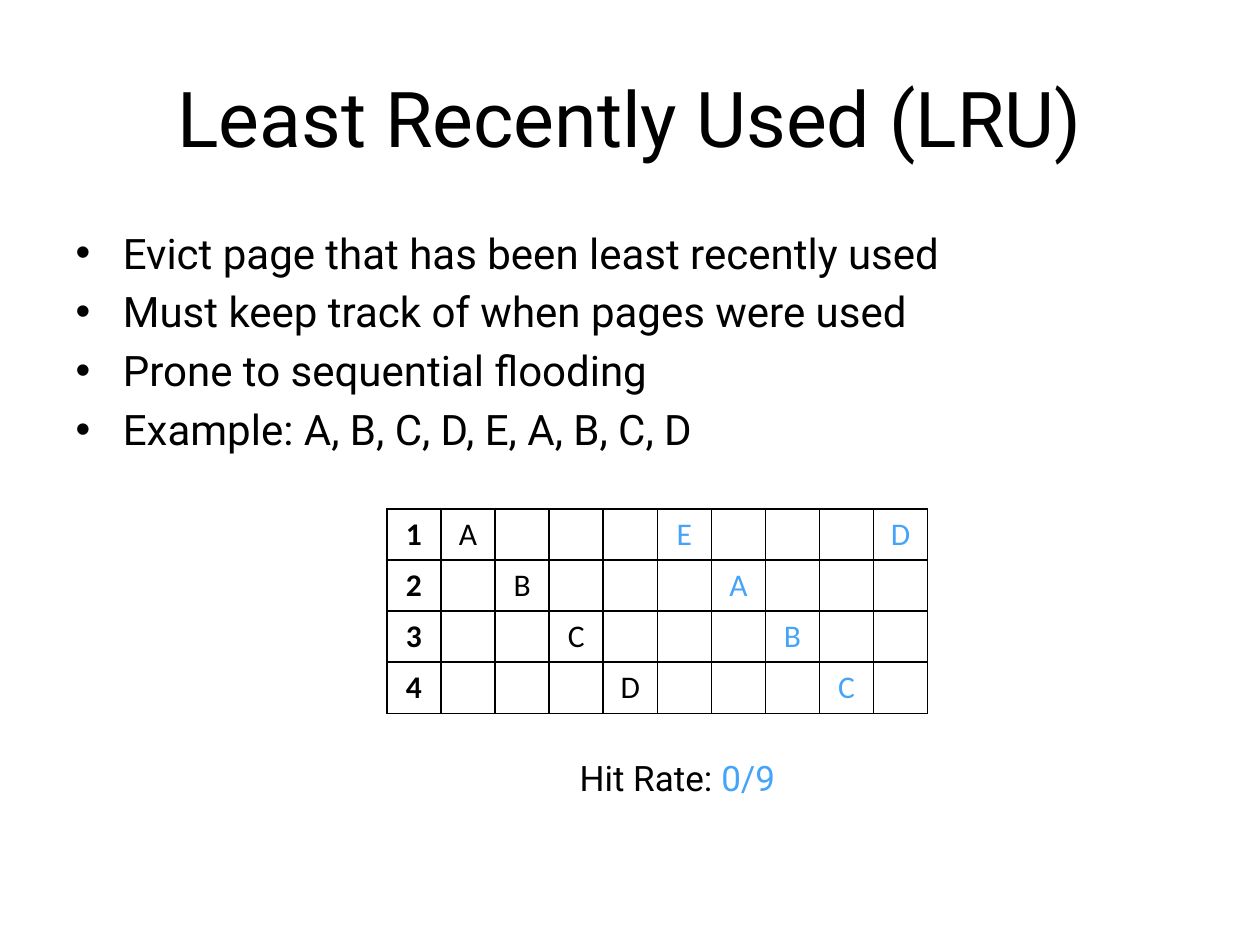
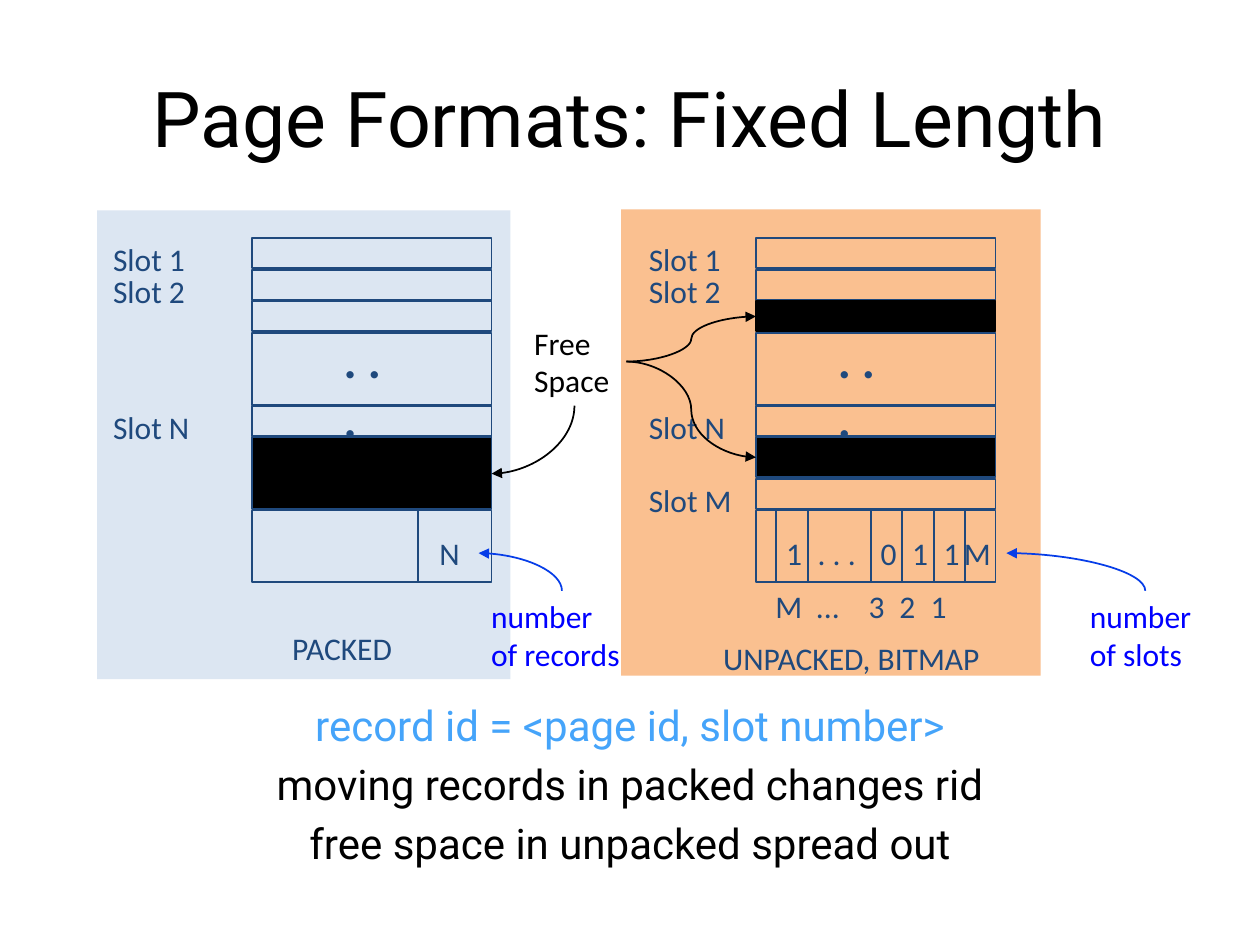
"""Two database slides: LRU page eviction and fixed-length page formats."""
from dataclasses import dataclass

from lxml import etree
from pptx import Presentation
from pptx.dml.color import RGBColor
from pptx.enum.shapes import MSO_CONNECTOR, MSO_SHAPE
from pptx.enum.text import MSO_AUTO_SIZE, PP_ALIGN
from pptx.oxml.ns import qn
from pptx.util import Cm, Pt

STRAIGHT, CURVE = MSO_CONNECTOR.STRAIGHT, MSO_CONNECTOR.CURVE
RECTANGLE = MSO_SHAPE.RECTANGLE
CENTER = PP_ALIGN.CENTER
NO_AUTOFIT, FIT_SHAPE = MSO_AUTO_SIZE.NONE, MSO_AUTO_SIZE.SHAPE_TO_FIT_TEXT

BLACK, NAVY, SKY = "000000", "1F497D", "45A4FA"
BLUE, ARROW_BLUE = "0000FF", "063DE8"
PALE_BLUE, ORANGE = "DCE6F2", "FAC090"

TITLE_FONT = {"name": "Roboto", "size": Pt(44)}
BODY_FONT = {"name": "Roboto", "size": Pt(24)}
RATE_FONT = {"name": "Roboto", "size": Pt(20)}
LABEL_FONT = {"name": "Calibri", "size": Pt(18), "bold": False}
STRONG_FONT = {"name": "Calibri", "size": Pt(18), "bold": True}
DOTS_FONT = {"name": "Calibri", "size": Pt(28), "bold": True}

TITLE_BOX = (1.27, 0.76, 22.86, 3.18)
BODY_BOX = (1.27, 4.45, 22.86, 14.1)
PAGE_WIDTH = 4.83
DIRECTORY_TOP, DIRECTORY_HEIGHT = 10.29, 1.45
BIT_LEFT, BIT_WIDTH = 15.65, 1.27 / 2


@dataclass
class Slot:
    """One horizontal strip of a stored page."""
    top: float
    height: float = 0.61
    fill: str | None = None
    line: str = NAVY


@dataclass
class Label:
    """A short free-standing text; each line is a paragraph."""
    text: str
    left: float
    top: float
    width: float = 2.2
    height: float = 1.02
    color: str = NAVY
    wrap: bool = False


@dataclass
class Arrow:
    """A curved arrow; a quarter curve leaves vertically and arrives sideways."""
    start: tuple[float, float]
    end: tuple[float, float]
    color: str = BLACK
    quarter: bool = True


SHARED_SLOTS = [Slot(4.8), Slot(5.44), Slot(6.71, 1.45), Slot(8.18),
                Slot(DIRECTORY_TOP, DIRECTORY_HEIGHT)]
PACKED_SLOTS = SHARED_SLOTS + [Slot(6.07), Slot(8.81, 1.45, BLACK)]
UNPACKED_SLOTS = SHARED_SLOTS + [Slot(8.81, 0.81, BLACK), Slot(6.07, fill=BLACK, line=BLACK),
                                 Slot(9.65)]
SLOT_NAMES = {"Slot 1": 4.72, "Slot 2": 5.36, "Slot N": 8.1}
BITS = {0: "1", 1: ". . .", 3: "0", 4: "1", 5: "1"}

LABELS = [
    Label("N", 8.61, 10.64, 1.04),
    Label("M", 19.18, 10.64, 1.12),
    Label("PACKED", 5.64, 12.55, 3.18),
    Label("UNPACKED, BITMAP", 14.33, 12.75, 6.99),
    Label("Slot M", 12.83, 9.58, 2.34),
    Label("Free\nSpace", 10.52, 6.4, 2.13, 1.78, BLACK),
    Label("number\nof records", 9.65, 11.91, 3.33, 1.78, BLUE),
    Label("number\nof slots", 21.72, 11.91, 2.72, 1.78, BLUE),
]
ARROWS = [
    Arrow((11.58, 8.18), (9.91, 9.55)),
    Arrow((12.63, 7.29), (15.24, 6.38), quarter=False),
    Arrow((12.63, 7.29), (15.24, 9.22), quarter=False),
    Arrow((11.33, 11.91), (9.65, 11.15), ARROW_BLUE),
    Arrow((23.09, 11.91), (20.29, 11.15), ARROW_BLUE),
]


def rgb(value: str) -> RGBColor:
    """Turn a hex string into a colour."""
    return RGBColor.from_string(value)


def lengths(box: tuple) -> list:
    """Turn centimetre numbers into lengths."""
    return [Cm(value) for value in box]


def add_child(parent, tag: str, **attributes: str):
    """Append a drawing element with its attributes."""
    return etree.SubElement(parent, qn(tag), attributes)


def add_run(paragraph, text: str, font_format: dict, color: str = BLACK) -> None:
    """Add formatted text to a paragraph."""
    run = paragraph.add_run()
    run.text = text
    for name, value in font_format.items():
        setattr(run.font, name, value)
    run.font.color.rgb = rgb(color)


def place(shape, box: tuple) -> None:
    """Move a placeholder to a box."""
    for name, value in zip(("left", "top", "width", "height"), lengths(box)):
        setattr(shape, name, value)


def add_titled_slide(presentation, title: str) -> tuple:
    """Add a slide with its title; return the slide and its body text frame."""
    slide = presentation.slides.add_slide(presentation.slide_layouts[1])
    place(slide.shapes.title, TITLE_BOX)
    paragraph = slide.shapes.title.text_frame.paragraphs[0]
    paragraph.alignment = CENTER
    add_run(paragraph, title, TITLE_FONT)
    body = slide.placeholders[1]
    place(body, BODY_BOX)
    body.text_frame.auto_size = NO_AUTOFIT
    return slide, body.text_frame


def next_paragraph(frame):
    """Return the first paragraph while it is empty, otherwise a new one."""
    first = frame.paragraphs[0]
    return first if not first.runs else frame.add_paragraph()


def remove_bullet(paragraph, indent: float = 0) -> None:
    """Drop the bullet and set a plain left indent."""
    properties = paragraph._p.get_or_add_pPr()
    properties.set("marL", str(int(Cm(indent))))
    properties.set("indent", "0")
    add_child(properties, "a:buNone")


def add_border(cell) -> None:
    """Draw a thin black line on all sides of a cell."""
    properties = cell._tc.get_or_add_tcPr()
    for side in "LRTB":
        line = add_child(properties, f"a:ln{side}", w=str(int(Pt(1))))
        add_child(add_child(line, "a:solidFill"), "a:srgbClr", val=BLACK)


def add_buffer_table(slide) -> None:
    """Draw four buffer frames over nine page requests."""
    requests, frames, column, row_height = "ABCDEABCD", 4, 1.09, 1.03
    columns = len(requests) + 1
    table = slide.shapes.add_table(frames, columns, *lengths(
        (7.8, 10.26, column * columns, row_height * frames))).table
    table.first_row = table.horz_banding = False
    for row in table.rows:
        row.height = Cm(row_height)
    for table_column in table.columns:
        table_column.width = Cm(column)
    for cell in table.iter_cells():
        add_border(cell)
        cell.fill.background()
        cell.text_frame.paragraphs[0].alignment = CENTER
    for frame in range(frames):
        paragraph = table.cell(frame, 0).text_frame.paragraphs[0]
        add_run(paragraph, str(frame + 1), STRONG_FONT)
    for step, page in enumerate(requests):
        paragraph = table.cell(step % frames, step + 1).text_frame.paragraphs[0]
        add_run(paragraph, page, LABEL_FONT, BLACK if step < frames else SKY)


def add_rectangle(slide, box: tuple, fill: str | None, line: str | None = None) -> None:
    """Add a rectangle with an optional fill and outline."""
    shape = slide.shapes.add_shape(RECTANGLE, *lengths(box))
    shape.shadow.inherit = False
    if fill:
        shape.fill.solid()
        shape.fill.fore_color.rgb = rgb(fill)
    else:
        shape.fill.background()
    if line:
        shape.line.color.rgb = rgb(line)
        shape.line.width = Pt(1)
    else:
        shape.line.fill.background()


def add_line(slide, kind, points: tuple, color: str):
    """Add a connector without a shadow."""
    connector = slide.shapes.add_connector(kind, *lengths(points))
    connector.line.color.rgb = rgb(color)
    connector.line.width = Pt(1)
    add_child(connector._element.spPr, "a:effectLst")
    return connector


def add_arrow(slide, arrow: Arrow) -> None:
    """Add a curved arrow; a quarter curve is a box turned by 90 degrees."""
    (x1, y1), (x2, y2) = arrow.start, arrow.end
    points = (x1, y1, x2, y2)
    if arrow.quarter:
        x, y, dx, dy = (x1 + x2) / 2, (y1 + y2) / 2, (y2 - y1) / 2, (x1 - x2) / 2
        points = (x - dx, y - dy, x + dx, y + dy)
    connector = add_line(slide, CURVE, points, arrow.color)
    properties = connector._element.spPr
    if arrow.quarter:
        properties.find(qn("a:xfrm")).set("rot", "5400000")
        properties.find(qn("a:prstGeom")).set("prst", "curvedConnector2")
    add_child(properties.find(qn("a:ln")), "a:tailEnd", type="triangle")


def add_label(slide, label: Label, font_format: dict = LABEL_FONT):
    """Add a text box and return its text frame."""
    box = (label.left, label.top, label.width, label.height)
    frame = slide.shapes.add_textbox(*lengths(box)).text_frame
    frame.word_wrap = label.wrap
    frame.auto_size = NO_AUTOFIT if label.wrap else FIT_SHAPE
    for line in label.text.split("\n"):
        add_run(next_paragraph(frame), line, font_format, label.color)
    return frame


def add_page(slide, left: float, slots: list[Slot], dividers: list[float]) -> None:
    """Draw a stored page: its slots and the dividers of its directory."""
    for slot in slots:
        add_rectangle(slide, (left, slot.top, PAGE_WIDTH, slot.height), slot.fill, slot.line)
    bottom = DIRECTORY_TOP + DIRECTORY_HEIGHT
    for x in dividers:
        add_line(slide, STRAIGHT, (x, DIRECTORY_TOP, x, bottom), NAVY)


def build_lru_slide(presentation) -> None:
    """Build the slide on least recently used eviction."""
    slide, body = add_titled_slide(presentation, "Least Recently Used (LRU)")
    for text in ("Evict page that has been least recently used",
                 "Must keep track of when pages were used",
                 "Prone to sequential flooding",
                 "Example: A, B, C, D, E, A, B, C, D"):
        add_run(next_paragraph(body), text, BODY_FONT)
    rate = body.add_paragraph()
    rate.space_before = Pt(173)
    remove_bullet(rate, 10.16)
    add_run(rate, "Hit Rate: ", RATE_FONT)
    add_run(rate, "0/9", RATE_FONT, SKY)
    add_buffer_table(slide)


def build_format_slide(presentation) -> None:
    """Build the slide that compares packed and unpacked pages."""
    slide, body = add_titled_slide(presentation, "Page Formats: Fixed Length")
    body.margin_top = Cm(9.65)
    for text, color in (("record id = <page id, slot number>", SKY),
                        ("moving records in packed changes rid", BLACK),
                        ("free space in unpacked spread out", BLACK)):
        paragraph = next_paragraph(body)
        paragraph.alignment = CENTER
        remove_bullet(paragraph)
        add_run(paragraph, text, BODY_FONT, color)

    add_rectangle(slide, (12.52, 4.22, 8.46, 9.4), ORANGE)
    add_rectangle(slide, (1.96, 4.24, 8.33, 9.45), PALE_BLUE)
    add_page(slide, 5.08, PACKED_SLOTS, [8.43])
    add_page(slide, 15.24, UNPACKED_SLOTS,
             [BIT_LEFT + BIT_WIDTH * column for column in (*BITS, 6)])

    for left in (2.03, 12.83):
        for name, top in SLOT_NAMES.items():
            add_label(slide, Label(name, left, top))
    for left in (6.68, 16.64):
        add_label(slide, Label(". . .", left, 6.52, 1.7, 1.45, wrap=True), DOTS_FONT)
    for column, bit in BITS.items():
        left = BIT_LEFT - 0.05 + BIT_WIDTH * column
        add_label(slide, Label(bit, left, 10.64, 1.3 if column == 1 else 0.84))
    numbers = add_label(slide, Label("M\t...\t3\t2\t1", 15.38, 11.71, 4.11, wrap=True))
    tabs = add_child(numbers.paragraphs[0]._p.get_or_add_pPr(), "a:tabLst")
    for position in (0.82, 1.88, 2.5, 3.13):
        add_child(tabs, "a:tab", pos=str(int(Cm(position))), algn="l")
    for label in LABELS:
        add_label(slide, label)
    for arrow in ARROWS:
        add_arrow(slide, arrow)


def main() -> None:
    """Build and save the presentation."""
    presentation = Presentation()
    presentation.slide_width, presentation.slide_height = Cm(25.4), Cm(19.05)
    build_lru_slide(presentation)
    build_format_slide(presentation)
    presentation.save("out.pptx")


main()
